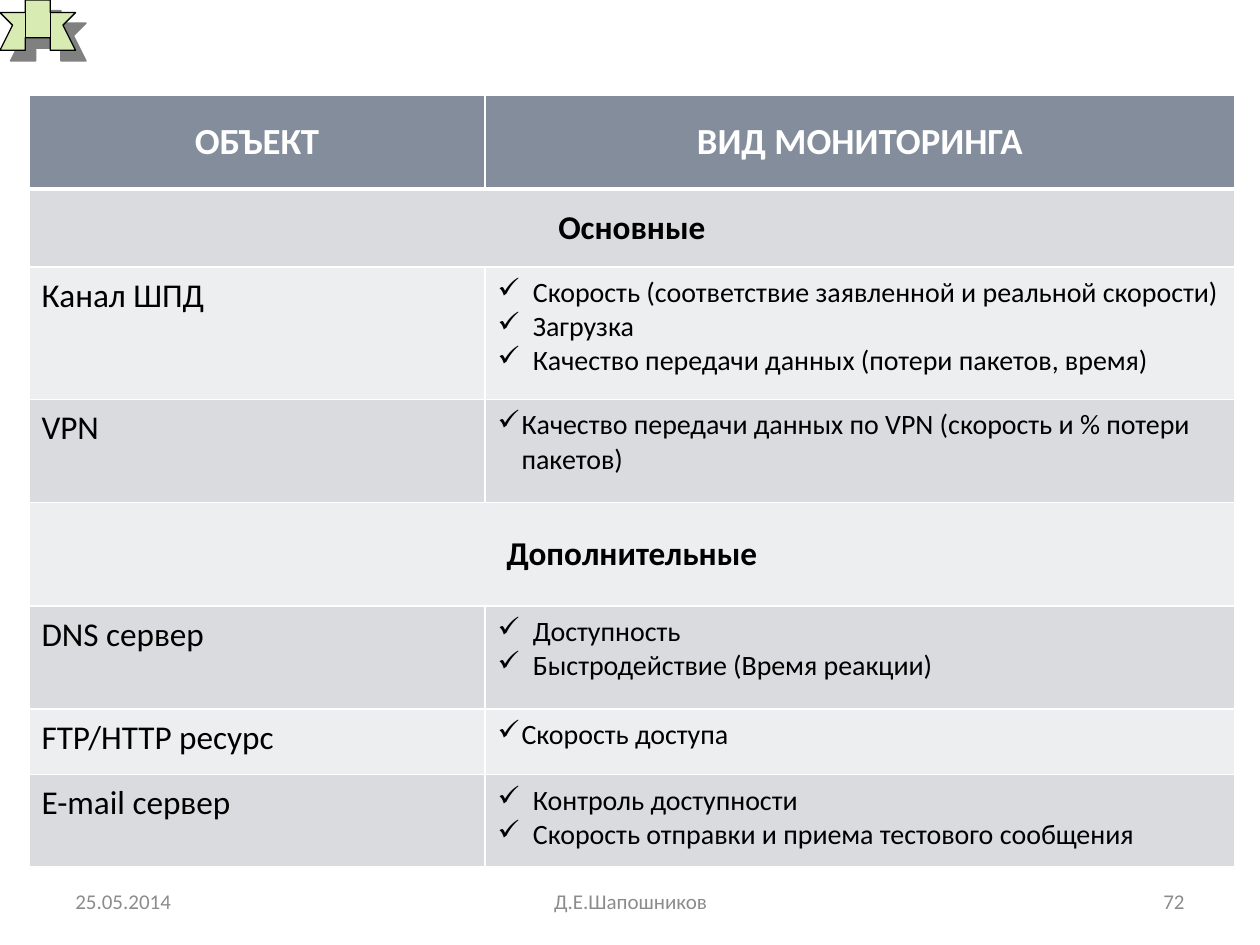
from lxml.etree import SubElement
from pptx import Presentation
from pptx.dml.color import RGBColor
from pptx.enum.text import MSO_ANCHOR, PP_ALIGN
from pptx.oxml.ns import qn
from pptx.util import Inches, Pt

BLACK = RGBColor(0x00, 0x00, 0x00)
WHITE = RGBColor(0xFF, 0xFF, 0xFF)
GREEN = RGBColor(0xD8, 0xEB, 0xB3)
SHADOW = RGBColor(0x80, 0x80, 0x80)
FOOTER = RGBColor(0x8C, 0x8C, 0x8C)
HEADER = RGBColor(0x83, 0x8D, 0x9B)
BANDS = (RGBColor(0xED, 0xEE, 0xEF), RGBColor(0xD9, 0xDB, 0xDE))

GRID = Inches(0.1)  # the slide is 100 columns by 75 rows
COLUMN_WIDTHS = (36.2, 59.5)
ROW_HEIGHTS = (7.4, 6.2, 10.5, 8.2, 8.2, 8.2, 5.2, 7.3)
WIDE_INDENT, NARROW_INDENT = 2.8, 1.9

# Each row: object, kinds of monitoring (empty for a section heading), bullet indent
ROWS = (
    ("Основные", (), None),
    ("Канал ШПД", ("Скорость (соответствие заявленной и реальной скорости)",
                   "Загрузка",
                   "Качество передачи данных (потери пакетов, время)"), WIDE_INDENT),
    ("VPN", ("Качество передачи данных по VPN (скорость и % потери пакетов)",), NARROW_INDENT),
    ("Дополнительные", (), None),
    ("DNS сервер", ("Доступность", "Быстродействие (Время реакции)"), WIDE_INDENT),
    ("FTP/HTTP ресурс", ("Скорость доступа",), NARROW_INDENT),
    ("E-mail сервер", ("Контроль доступности",
                       "Скорость отправки и приема тестового сообщения"), WIDE_INDENT),
)
FOOTERS = (
    (5, 23.3, "25.05.2014", PP_ALIGN.LEFT),
    (34.2, 31.7, "Д.Е.Шапошников", PP_ALIGN.CENTER),
    (71.7, 23.3, "72", PP_ALIGN.RIGHT),
)
RIBBON = ((0.1, 3.9), (2.2, 3.9), (2.2, 3.4), (3.6, 3.4), (3.6, 3.9), (5.6, 3.9), (4.9, 2.3),
          (5.6, 0.8), (4.2, 0.8), (4.2, 0.4), (1.5, 0.4), (1.5, 0.8), (0.1, 0.8), (0.8, 2.3))
RIBBON_FOLDS = (
    ((2.2, 3.4), (1.5, 3.4), (1.5, 0.8)),
    ((1.5, 3.4), (2.2, 3.9)),
    ((3.6, 3.4), (4.2, 3.4), (4.2, 0.8)),
    ((4.2, 3.4), (3.6, 3.9)),
)


def cells(count):
    return round(count * GRID)


class SlideBuilder:
    """Holds the font and the slide; every length is counted in grid cells."""

    def __init__(self, slide, font="Calibri"):
        self.slide = slide
        self.font = font

    def add_text(self, paragraph, text, size, color, bold=False, align=PP_ALIGN.LEFT):
        paragraph.alignment = align
        run = paragraph.add_run()
        run.text = text
        run.font.name = self.font
        run.font.size = Pt(size)
        run.font.bold = bold
        run.font.color.rgb = color

    def check_mark(self, paragraph, indent):
        properties = paragraph._p.get_or_add_pPr()
        properties.set("marL", str(cells(indent)))
        properties.set("indent", str(-cells(indent)))
        SubElement(properties, qn("a:buChar"), char="✓")

    def text_box(self, left, top, width, height, text, align):
        frame = self.slide.shapes.add_textbox(*map(cells, (left, top, width, height))).text_frame
        frame.word_wrap = True
        frame.vertical_anchor = MSO_ANCHOR.MIDDLE
        self.add_text(frame.paragraphs[0], text, 12, FOOTER, align=align)

    def outline(self, contours, closed, fill=None):
        builder = self.slide.shapes.build_freeform(*contours[0][0], scale=GRID)
        for number, (start, *points) in enumerate(contours):
            if number:
                builder.move_to(*start)
            builder.add_line_segments(points, close=closed)
        shape = builder.convert_to_shape()
        shape.shadow.inherit = False
        shape.line.color.rgb = BLACK
        shape.line.width = Pt(0.75)
        if fill is None:
            shape.fill.background()
        else:
            shape.fill.solid()
            shape.fill.fore_color.rgb = fill
        return shape

    def drop_shadow(self, shape, distance, angle):
        effects = shape._element.spPr.find(qn("a:effectLst"))
        shadow = SubElement(effects, qn("a:outerShdw"), dist=str(Pt(distance)),
                            dir=str(angle * 60000), algn="ctr", rotWithShape="0")
        SubElement(shadow, qn("a:srgbClr"), val=str(SHADOW))

    def borders(self, cell, top, bottom):
        properties = cell._tc.get_or_add_tcPr()
        for side, width in (("L", 1), ("R", 1), ("T", top), ("B", bottom)):
            line = SubElement(properties, qn(f"a:ln{side}"), w=str(Pt(width)))
            SubElement(SubElement(line, qn("a:solidFill")), qn("a:srgbClr"), val=str(WHITE))

    def table(self, left, top, column_widths, row_heights):
        """Add a table whose cells have borders, margins and banded fills."""
        size = sum(column_widths), sum(row_heights)
        table = self.slide.shapes.add_table(
            len(row_heights), len(column_widths), *map(cells, (left, top, *size))).table
        for column, width in zip(table.columns, column_widths):
            column.width = cells(width)
        for number, (row, height) in enumerate(zip(table.rows, row_heights)):
            row.height = cells(height)
            for cell in row.cells:
                self.borders(cell, 3 if number == 1 else 1, 3 if number == 0 else 1)
                cell.fill.solid()
                cell.fill.fore_color.rgb = BANDS[number % 2] if number else HEADER
                cell.margin_left = cell.margin_right = cells(1)
                cell.margin_top = cell.margin_bottom = cells(0.7)
        return table

    def heading(self, cell, text, size, color):
        cell.vertical_anchor = MSO_ANCHOR.MIDDLE
        self.add_text(cell.text_frame.paragraphs[0], text, size, color, True, PP_ALIGN.CENTER)

    def checklist(self, cell, items, indent):
        frame = cell.text_frame
        for number, item in enumerate(items):
            paragraph = frame.add_paragraph() if number else frame.paragraphs[0]
            self.check_mark(paragraph, indent)
            self.add_text(paragraph, item, 16, BLACK)


def main():
    presentation = Presentation()
    presentation.slide_width, presentation.slide_height = cells(100), cells(75)
    builder = SlideBuilder(presentation.slides.add_slide(presentation.slide_layouts[6]))

    ribbon = builder.outline((RIBBON,), closed=True, fill=GREEN)
    builder.drop_shadow(ribbon, distance=8.5, angle=45)
    builder.outline(RIBBON_FOLDS, closed=False)

    for left, width, text, align in FOOTERS:
        builder.text_box(left, 69.5, width, 4, text, align)

    table = builder.table(2.3, 7.6, COLUMN_WIDTHS, ROW_HEIGHTS)
    for column, title in enumerate(("ОБЪЕКТ", "ВИД МОНИТОРИНГА")):
        builder.heading(table.cell(0, column), title, 21, WHITE)
    for row, (name, items, indent) in enumerate(ROWS, start=1):
        first, second = table.cell(row, 0), table.cell(row, 1)
        if items:
            builder.add_text(first.text_frame.paragraphs[0], name, 19, BLACK)
            builder.checklist(second, items, indent)
        else:
            first.merge(second)
            builder.heading(first, name, 19, BLACK)

    presentation.save("out.pptx")


if __name__ == "__main__":
    main()
